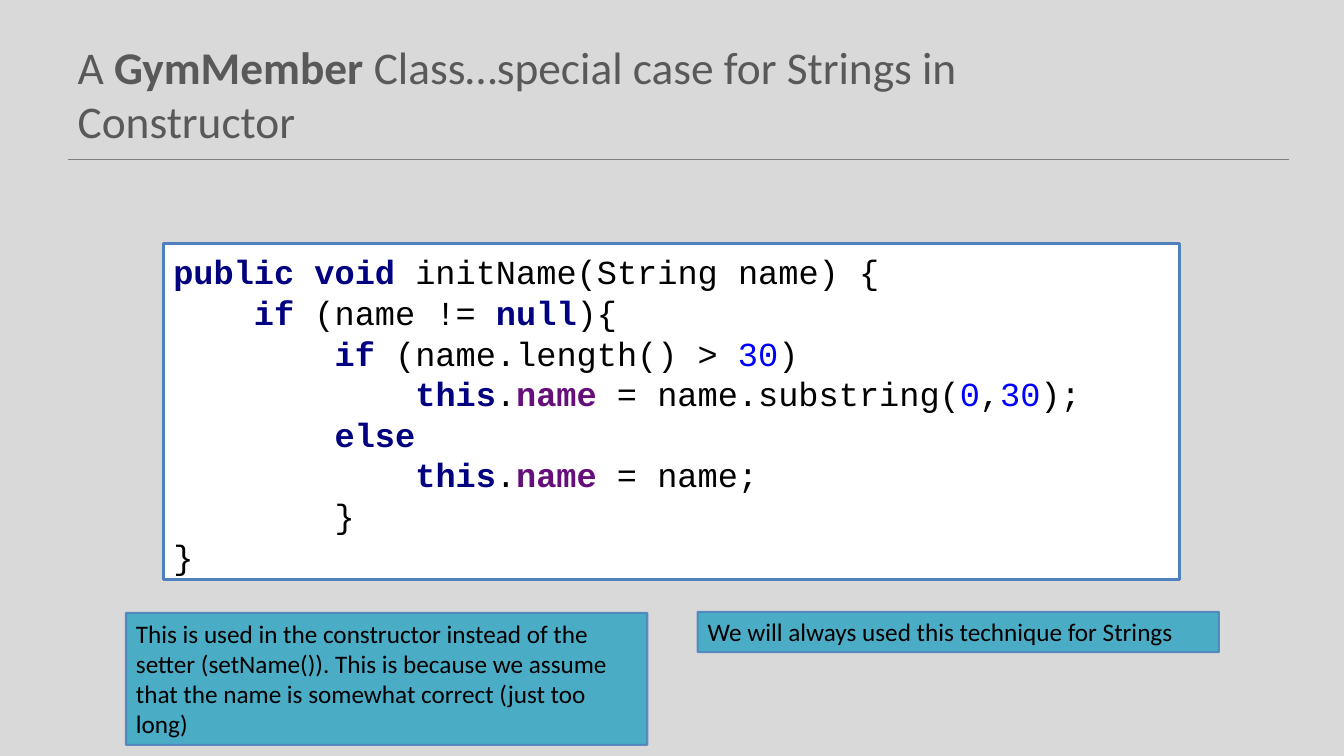
from lxml import etree
from pptx import Presentation
from pptx.dml.color import RGBColor
from pptx.enum.shapes import MSO_CONNECTOR, MSO_SHAPE
from pptx.enum.text import MSO_ANCHOR, PP_ALIGN
from pptx.oxml.ns import qn
from pptx.util import Inches, Pt

COLORS = {
    "background": "D9D9D9", "title": "595959", "rule": "808080",
    "code_fill": "FFFFFF", "note_fill": "4BACC6", "border": "4F81BD",
    "plain": "000000", "keyword": "000080", "number": "0000FF", "field": "660E7A",
}
BOLD_STYLES = ("keyword", "field")

TITLE = [("A ", False), ("GymMember", True),
         (" Class…special case for Strings in \vConstructor", False)]
CODE = [
    [("public void ", "keyword"), ("initName(String name) {", "plain")],
    [("    if ", "keyword"), ("(name != ", "plain"), ("null", "keyword"), ("){", "plain")],
    [("        if ", "keyword"), ("(name.length() > ", "plain"), ("30", "number"), (")", "plain")],
    [("            this", "keyword"), (".", "plain"), ("name ", "field"),
     ("= name.substring(", "plain"), ("0", "number"), (",", "plain"),
     ("30", "number"), (");", "plain")],
    [("        else", "keyword")],
    [("            this", "keyword"), (".", "plain"), ("name ", "field"), ("= name;", "plain")],
    [("        }", "plain")],
    [("}", "plain")],
]
CODE_BOX = (1.62, 2.42, 10.08, 3.33)
NOTES = [
    ("This is used in the constructor instead of the setter (setName()). "
     "This is because we assume that the name is somewhat correct (just too long)",
     (1.25, 6.08, 5.17, 1.31)),
    ("We will always used this technique for Strings", (6.92, 6.07, 5.17, 0.4)),
]


def rgb(key):
    return RGBColor.from_string(COLORS[key])


def style_font(font, name, size, color):
    font.name = name
    font.size = Pt(size)
    font.color.rgb = rgb(color)


def add_box(slide, bounds, fill, border_width):
    box = slide.shapes.add_shape(MSO_SHAPE.RECTANGLE, *map(Inches, bounds))
    box.shadow.inherit = False
    box.fill.solid()
    box.fill.fore_color.rgb = rgb(fill)
    box.line.color.rgb = rgb("border")
    box.line.width = Pt(border_width)
    box.text_frame.word_wrap = True
    box.text_frame.vertical_anchor = MSO_ANCHOR.TOP
    return box


def add_title(slide):
    title = slide.shapes.title
    title.left, title.top, title.width, title.height = map(Inches, (0.67, 0.3, 12, 1.25))
    title.text_frame.vertical_anchor = MSO_ANCHOR.MIDDLE
    paragraph = title.text_frame.paragraphs[0]
    paragraph.alignment = PP_ALIGN.LEFT
    for text, bold in TITLE:
        for index, part in enumerate(text.split("\v")):
            if index:
                paragraph.add_line_break()
            run = paragraph.add_run()
            run.text = part
            run.font.bold = bold
    style_font(paragraph.font, "Calibri", 32.4, "title")


def add_rule(slide):
    rule = slide.shapes.add_connector(
        MSO_CONNECTOR.STRAIGHT, *map(Inches, (0.67, 1.58, 12.78, 1.58)))
    rule.line.color.rgb = rgb("rule")
    rule.line.width = Pt(1)
    etree.SubElement(rule.element.spPr, qn("a:effectLst"))


def add_code(slide):
    frame = add_box(slide, CODE_BOX, "code_fill", 2).text_frame
    frame.margin_top = Inches(0.07)
    for index, line in enumerate(CODE):
        paragraph = frame.add_paragraph() if index else frame.paragraphs[0]
        paragraph.alignment = PP_ALIGN.LEFT
        paragraph.line_spacing = Pt(29)
        for text, style in line:
            run = paragraph.add_run()
            run.text = text
            style_font(run.font, "Courier New", 24, style)
            run.font.bold = style in BOLD_STYLES


def add_note(slide, text, bounds):
    note = add_box(slide, bounds, "note_fill", 1.5)
    border_color = note.line.fill._xPr.find(".//" + qn("a:srgbClr"))
    etree.SubElement(border_color, qn("a:alpha"), val="88000")
    paragraph = note.text_frame.paragraphs[0]
    paragraph.text = text
    paragraph.alignment = PP_ALIGN.LEFT
    style_font(paragraph.font, "Calibri", 18, "plain")


def main():
    deck = Presentation()
    deck.slide_width, deck.slide_height = Inches(13.33), Inches(7.5)
    slide = deck.slides.add_slide(deck.slide_layouts[5])
    slide.background.fill.solid()
    slide.background.fill.fore_color.rgb = rgb("background")
    add_rule(slide)
    add_title(slide)
    add_code(slide)
    for text, bounds in NOTES:
        add_note(slide, text, bounds)
    deck.save("out.pptx")


if __name__ == "__main__":
    main()
